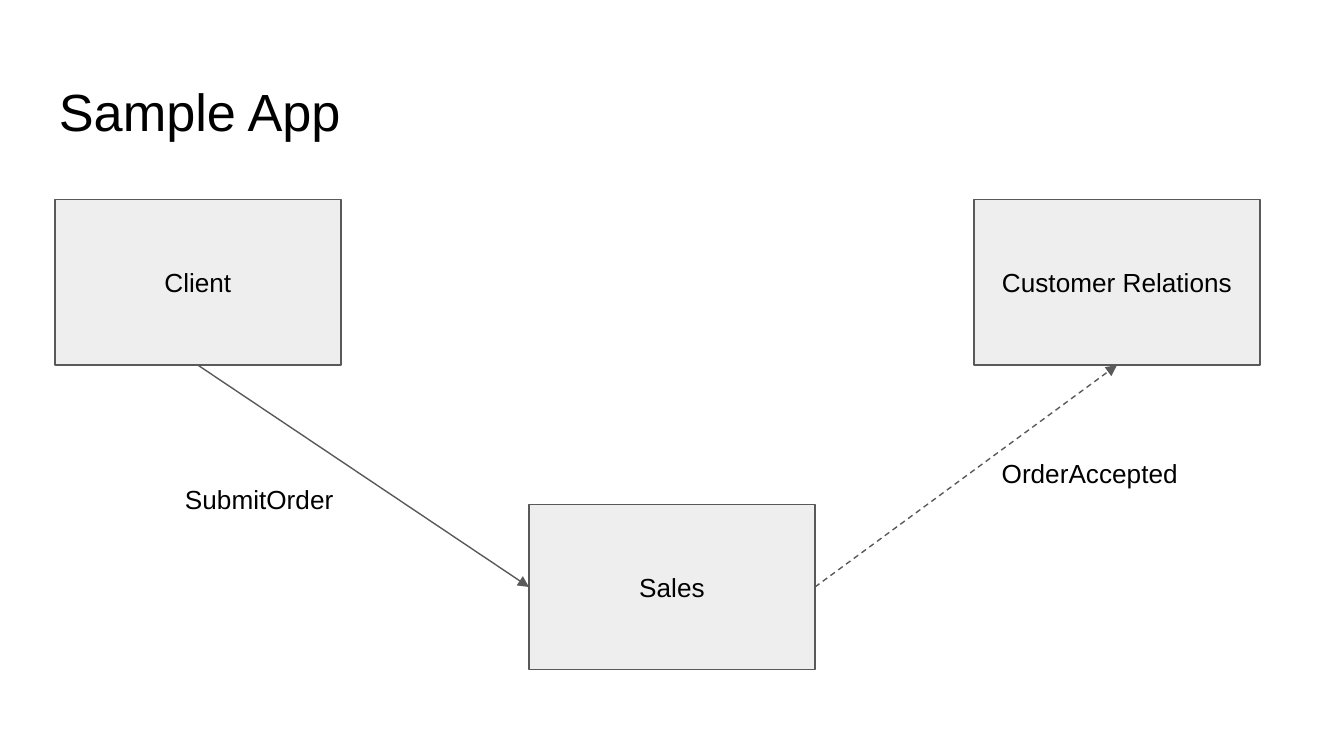
from lxml import etree
from pptx import Presentation
from pptx.dml.color import RGBColor
from pptx.enum.dml import MSO_LINE
from pptx.enum.shapes import MSO_CONNECTOR, MSO_SHAPE
from pptx.enum.text import MSO_ANCHOR, PP_ALIGN
from pptx.oxml.ns import qn
from pptx.util import Pt

RECTANGLE = MSO_SHAPE.RECTANGLE
STRAIGHT = MSO_CONNECTOR.STRAIGHT
DASH = MSO_LINE.DASH
TOP, MIDDLE = MSO_ANCHOR.TOP, MSO_ANCHOR.MIDDLE
LEFT, CENTER = PP_ALIGN.LEFT, PP_ALIGN.CENTER
LEFT_SIDE, BOTTOM_SIDE, RIGHT_SIDE = 1, 2, 3

COLORS = {"text": "000000", "box": "EEEEEE", "line": "595959"}
FONT = "Arial"
SLIDE_SIZE = (720, 405)
BOX_SIZE = (153.2, 88.6)
INSET = 7.2
LINE_WIDTH = 0.75

# Text, left, top, width, height, font size
LABELS = [
    ("Sample App", 24.5, 35.3, 671, 45.4, 28),
    ("SubmitOrder", 92, 252, 94.3, 34.6, 14),
    ("OrderAccepted", 529.5, 237.9, 118, 34.6, 14),
]
# Service: left, top
SERVICES = {
    "Client": (29.4, 107),
    "Sales": (283.4, 270.2),
    "Customer Relations": (521.8, 107),
}
# Sender, its side, receiver, its side, dash style
MESSAGES = [
    ("Client", BOTTOM_SIDE, "Sales", LEFT_SIDE, None),
    ("Sales", RIGHT_SIDE, "Customer Relations", BOTTOM_SIDE, DASH),
]


def rgb(name):
    return RGBColor.from_string(COLORS[name])


def write(shape, text, size, align, anchor):
    frame = shape.text_frame
    frame.word_wrap = True
    frame.vertical_anchor = anchor
    frame.margin_left = frame.margin_right = Pt(INSET)
    frame.margin_top = frame.margin_bottom = Pt(INSET)
    paragraph = frame.paragraphs[0]
    paragraph.alignment = align
    run = paragraph.add_run()
    run.text = text
    run.font.name = FONT
    run.font.size = Pt(size)
    run.font.color.rgb = rgb("text")


def style_line(line):
    line.color.rgb = rgb("line")
    line.width = Pt(LINE_WIDTH)


def add_label(slide, text, left, top, width, height, size):
    label = slide.shapes.add_textbox(Pt(left), Pt(top), Pt(width), Pt(height))
    write(label, text, size, LEFT, TOP)


def add_service(slide, name, left, top):
    width, height = BOX_SIZE
    box = slide.shapes.add_shape(RECTANGLE, Pt(left), Pt(top), Pt(width), Pt(height))
    box.shadow.inherit = False
    box.fill.solid()
    box.fill.fore_color.rgb = rgb("box")
    style_line(box.line)
    write(box, name, 14, CENTER, MIDDLE)
    return box


def add_message(slide, sender, sender_side, receiver, receiver_side, dash):
    arrow = slide.shapes.add_connector(STRAIGHT, 0, 0, 0, 0)
    arrow.begin_connect(sender, sender_side)
    arrow.end_connect(receiver, receiver_side)
    style_line(arrow.line)
    if dash:
        arrow.line.dash_style = dash
    properties = arrow.element.spPr
    etree.SubElement(properties.find(qn("a:ln")), qn("a:tailEnd"), type="triangle")
    etree.SubElement(properties, qn("a:effectLst"))


def main():
    presentation = Presentation()
    presentation.slide_width, presentation.slide_height = map(Pt, SLIDE_SIZE)
    slide = presentation.slides.add_slide(presentation.slide_layouts[6])

    boxes = {name: add_service(slide, name, *place) for name, place in SERVICES.items()}
    for sender, sender_side, receiver, receiver_side, dash in MESSAGES:
        add_message(slide, boxes[sender], sender_side, boxes[receiver], receiver_side, dash)
    for label in LABELS:
        add_label(slide, *label)

    presentation.save("out.pptx")


if __name__ == "__main__":
    main()
